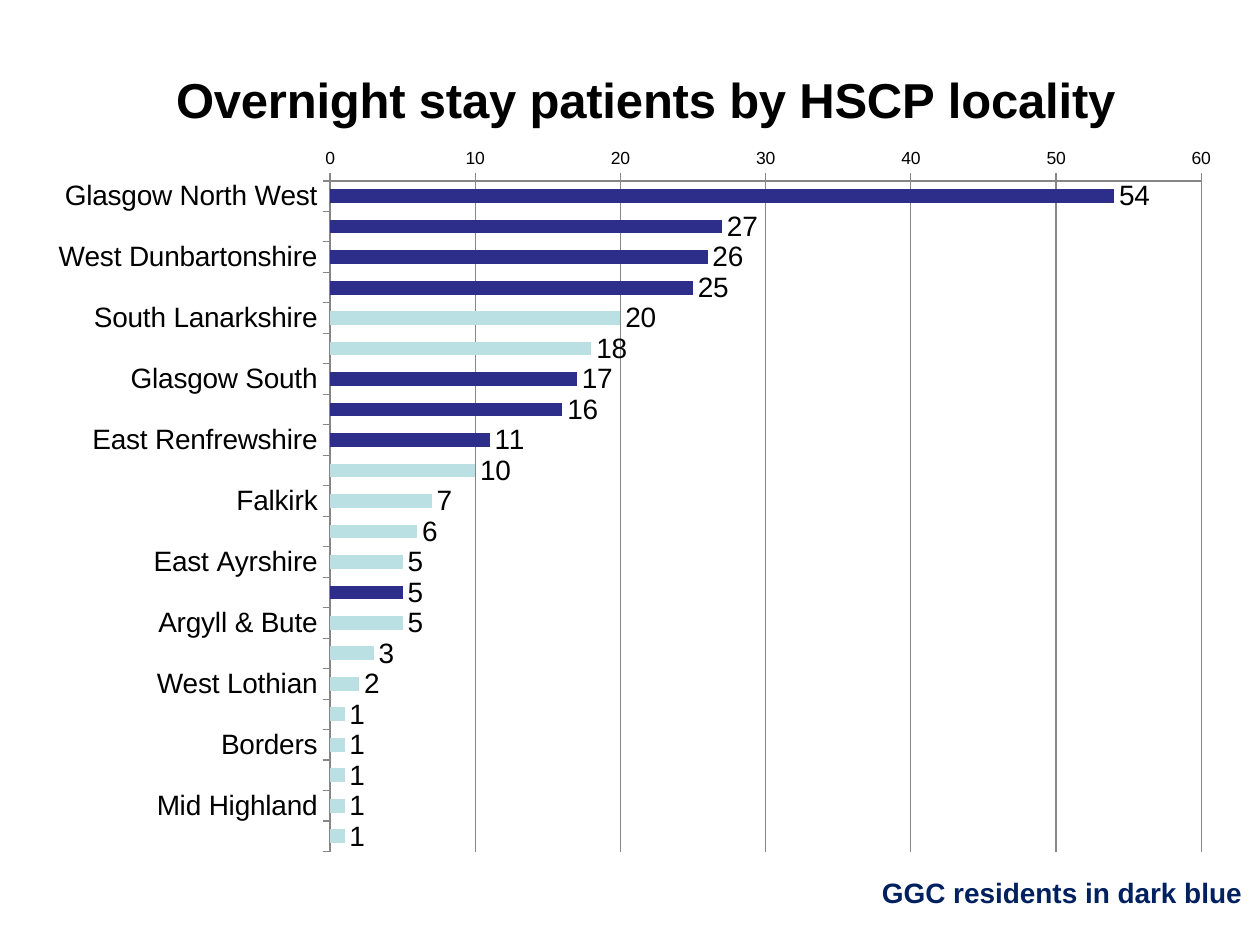
import dataclasses
import typing

import lxml.etree
import pptx
import pptx.chart.data
import pptx.dml.color
import pptx.enum.chart
import pptx.enum.text
import pptx.oxml.ns
import pptx.util


@dataclasses.dataclass(frozen=True)
class Theme:
    font: str = "Arial"
    text: str = "000000"
    resident: str = "2D2D8A"
    visitor: str = "BBE0E3"
    note: str = "002060"
    line: str = "868686"
    title_size: int = 28
    label_size: int = 16
    axis_size: int = 10


class Locality(typing.NamedTuple):
    name: str
    patients: int
    resident: bool = False


THEME = Theme()
TITLE = "Overnight stay patients by HSCP locality"
LOCALITIES = [
    Locality("Glasgow North West", 54, True),
    Locality("Glasgow North East", 27, True),
    Locality("West Dunbartonshire", 26, True),
    Locality("Renfrewshire", 25, True),
    Locality("South Lanarkshire", 20),
    Locality("North Lanarkshire", 18),
    Locality("Glasgow South", 17, True),
    Locality("East Dunbartonshire", 16, True),
    Locality("East Renfrewshire", 11, True),
    Locality("North Ayrshire", 10),
    Locality("Falkirk", 7),
    Locality("South Ayrshire", 6),
    Locality("East Ayrshire", 5),
    Locality("Inverclyde", 5, True),
    Locality("Argyll & Bute", 5),
    Locality("Stirling", 3),
    Locality("West Lothian", 2),
    Locality("Edinburgh City", 1),
    Locality("Borders", 1),
    Locality("Perth & Kinross", 1),
    Locality("Mid Highland", 1),
    Locality("Glenrothes & North East Fife", 1),
]


def rgb(value: str) -> pptx.dml.color.RGBColor:
    return pptx.dml.color.RGBColor.from_string(value)


def set_values(target: typing.Any, values: dict[str, typing.Any]) -> None:
    for name, value in values.items():
        setattr(target, name, value)


def style_font(font: typing.Any, size: int, color: str = THEME.text, bold: bool = False) -> None:
    set_values(font, {"name": THEME.font, "size": pptx.util.Pt(size), "bold": bold})
    font.color.rgb = rgb(color)


def style_line(line: typing.Any) -> None:
    line.color.rgb = rgb(THEME.line)
    line.width = pptx.util.Pt(0.75)


def set_layout(parent: typing.Any, index: int, values: dict[str, typing.Any]) -> None:
    qualified = pptx.oxml.ns.qn
    for existing in parent.findall(qualified("c:layout")):
        parent.remove(existing)
    layout = lxml.etree.Element(qualified("c:layout"))
    manual = lxml.etree.SubElement(layout, qualified("c:manualLayout"))
    for name, value in values.items():
        lxml.etree.SubElement(manual, qualified(f"c:{name}")).set("val", str(value))
    parent.insert(index, layout)


def style_axes(chart: typing.Any) -> None:
    outside = pptx.enum.chart.XL_TICK_MARK.OUTSIDE
    for axis, size in ((chart.category_axis, THEME.label_size), (chart.value_axis, THEME.axis_size)):
        set_values(axis, {"major_tick_mark": outside, "minor_tick_mark": pptx.enum.chart.XL_TICK_MARK.NONE})
        style_font(axis.tick_labels.font, size)
        style_line(axis.format.line)
    set_values(chart.category_axis, {"reverse_order": True, "has_major_gridlines": False})
    set_values(
        chart.value_axis,
        {"minimum_scale": 0, "maximum_scale": 60, "major_unit": 10, "has_major_gridlines": True},
    )
    style_line(chart.value_axis.major_gridlines.format.line)


def style_bars(plot: typing.Any) -> None:
    set_values(plot, {"gap_width": 120, "vary_by_categories": False})
    series = plot.series[0]
    series.invert_if_negative = False
    series.format.fill.solid()
    series.format.fill.fore_color.rgb = rgb(THEME.visitor)
    for index, locality in enumerate(LOCALITIES):
        if locality.resident:
            fill = series.points[index].format.fill
            fill.solid()
            fill.fore_color.rgb = rgb(THEME.resident)
    labels = series.data_labels
    set_values(
        labels,
        {"show_value": True, "position": pptx.enum.chart.XL_LABEL_POSITION.OUTSIDE_END},
    )
    style_font(labels.font, THEME.label_size)


def add_locality_chart(slide: typing.Any) -> None:
    data = pptx.chart.data.CategoryChartData()
    data.categories = [locality.name for locality in LOCALITIES]
    data.add_series("Patients", [locality.patients for locality in LOCALITIES])
    chart = slide.shapes.add_chart(
        pptx.enum.chart.XL_CHART_TYPE.BAR_CLUSTERED,
        pptx.util.Cm(0.71), pptx.util.Cm(0.53), pptx.util.Cm(24.21), pptx.util.Cm(16.99),
        data,
    ).chart
    set_values(chart, {"has_legend": False, "has_title": True})
    style_font(chart.font, THEME.axis_size)
    title = chart.chart_title
    title.include_in_layout = False
    paragraph = title.text_frame.paragraphs[0]
    run = paragraph.add_run()
    run.text = TITLE
    style_font(run.font, THEME.title_size, bold=True)
    style_axes(chart)
    style_bars(chart.plots[0])
    set_layout(title._element, 1, {"xMode": "edge", "yMode": "edge", "x": 0.11, "y": 0.04})
    set_layout(
        chart.plots[0]._element.getparent(), 0,
        {"layoutTarget": "inner", "xMode": "edge", "yMode": "edge",
         "x": 0.2455, "y": 0.1835, "w": 0.7255, "h": 0.796},
    )


def add_note(slide: typing.Any, text: str) -> None:
    shape = slide.shapes.add_textbox(
        pptx.util.Cm(17.53), pptx.util.Cm(17.53), pptx.util.Cm(7.87), pptx.util.Cm(0.94)
    )
    set_values(
        shape.text_frame,
        {"word_wrap": False, "auto_size": pptx.enum.text.MSO_AUTO_SIZE.SHAPE_TO_FIT_TEXT},
    )
    run = shape.text_frame.paragraphs[0].add_run()
    run.text = text
    style_font(run.font, THEME.label_size, THEME.note, bold=True)


def main() -> None:
    presentation = pptx.Presentation()
    set_values(presentation, {"slide_width": pptx.util.Cm(25.4), "slide_height": pptx.util.Cm(19.05)})
    slide = presentation.slides.add_slide(presentation.slide_layouts[6])
    add_locality_chart(slide)
    add_note(slide, "GGC residents in dark blue")
    presentation.save("out.pptx")


if __name__ == "__main__":
    main()
